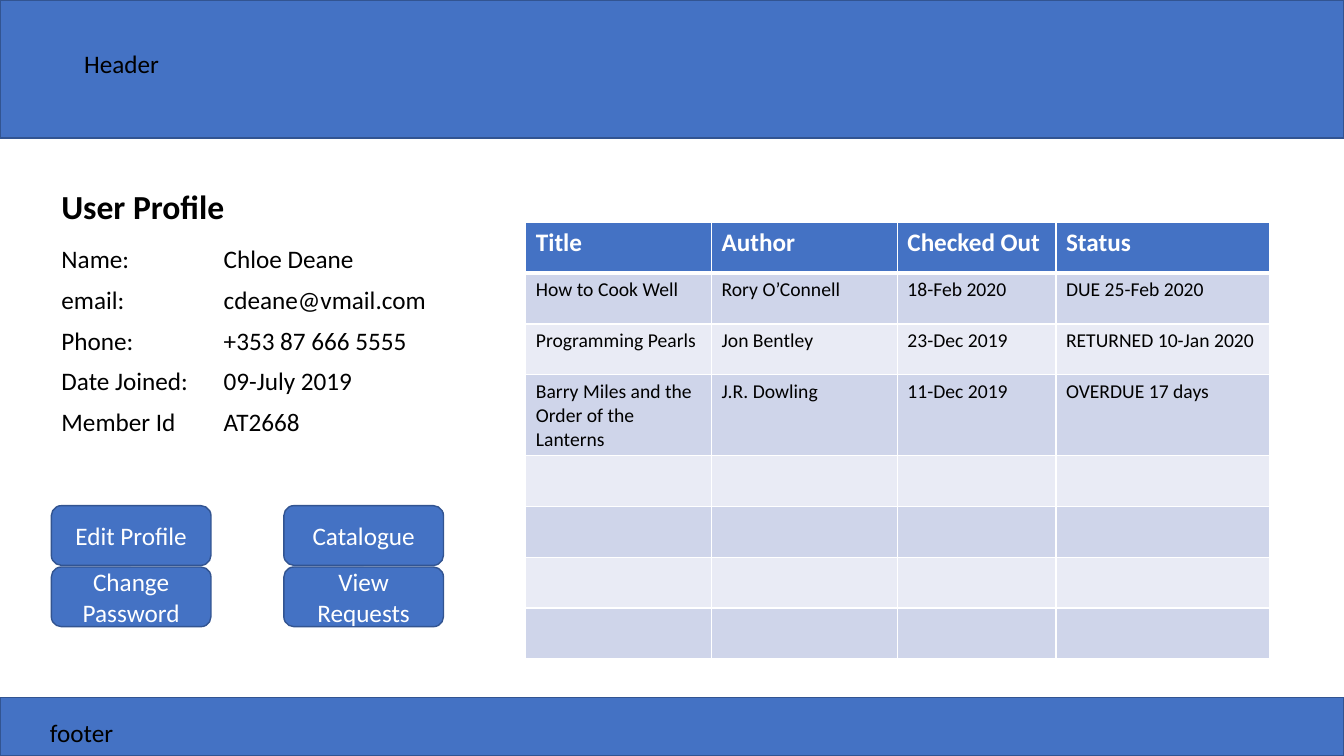
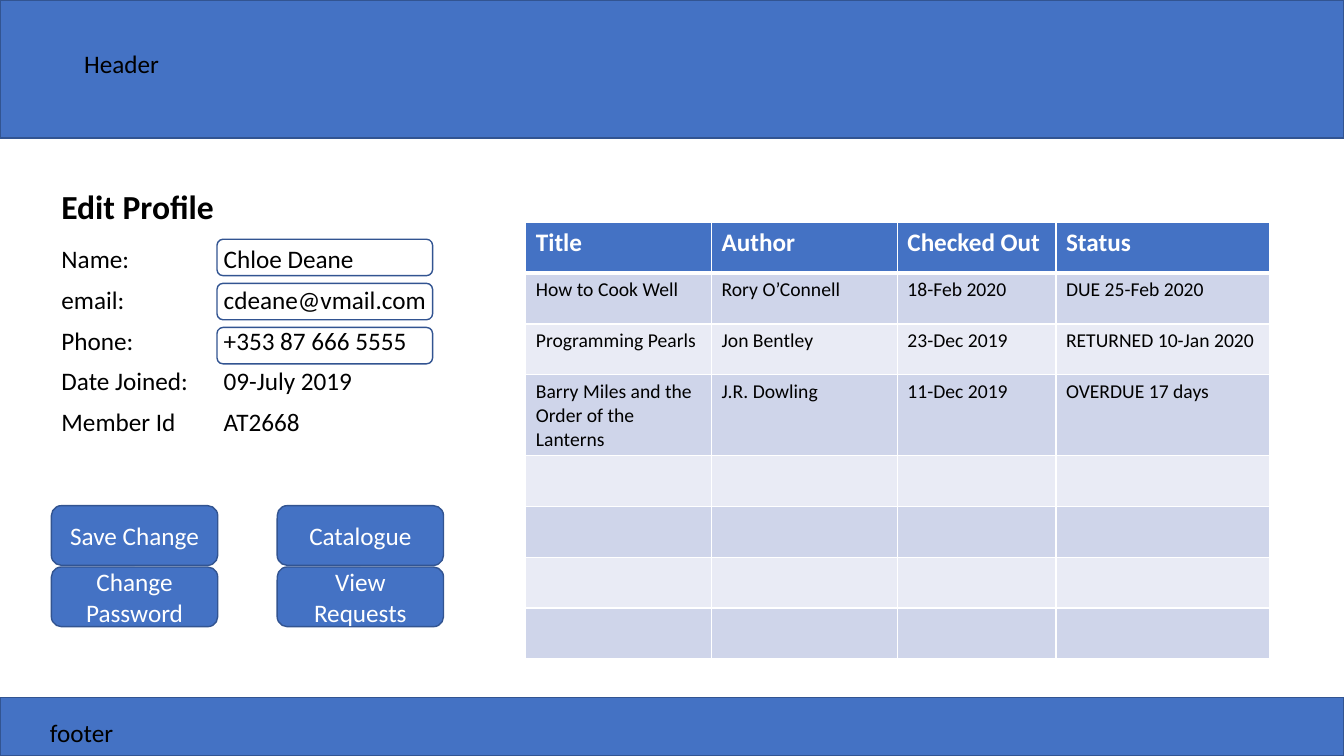
from lxml import etree
from pptx import Presentation
from pptx.dml.color import RGBColor
from pptx.enum.shapes import MSO_SHAPE
from pptx.enum.text import MSO_ANCHOR, PP_ALIGN
from pptx.oxml.ns import qn
from pptx.util import Pt

RECT, ROUND = MSO_SHAPE.RECTANGLE, MSO_SHAPE.ROUNDED_RECTANGLE
MIDDLE, CENTER = MSO_ANCHOR.MIDDLE, PP_ALIGN.CENTER

BLUE = RGBColor(0x44, 0x72, 0xC4)
EDGE = RGBColor(0x32, 0x54, 0x91)
DARK = RGBColor(0xCF, 0xD5, 0xEA)
PALE = RGBColor(0xE9, 0xEB, 0xF5)
WHITE = RGBColor(0xFF, 0xFF, 0xFF)
BLACK = RGBColor(0x00, 0x00, 0x00)

FONT = "Calibri"
WIDE, HIGH = 960, 540
LEFT, RIGHT = 36.7, 316.8
TOP = 170.9

PROFILE = [
    ("Name:", "Chloe Deane"),
    ("email:", "cdeane@vmail.com"),
    ("Phone:", "+353 87 666 5555"),
    ("Date Joined:", "09-July 2019"),
    ("Member Id", "AT2668"),
]
BLANK = ("",) * 4
LOANS = [
    ("Title", "Author", "Checked Out", "Status"),
    ("How to Cook Well", "Rory O’Connell", "18-Feb 2020", "DUE 25-Feb 2020"),
    ("Programming Pearls", "Jon Bentley", "23-Dec 2019", "RETURNED 10-Jan 2020"),
    ("Barry Miles and the Order of the Lanterns", "J.R. Dowling",
     "11-Dec 2019", "OVERDUE 17 days"),
    BLANK, BLANK, BLANK, BLANK,
]


def border(cell, side, width, color=None):
    """Draw one cell edge (L, R, T or B), or hide it when no colour is given."""
    line = etree.SubElement(cell._tc.get_or_add_tcPr(), qn("a:ln" + side),
                            w=str(Pt(width)))
    if color is None:
        etree.SubElement(line, qn("a:noFill"))
    else:
        fill = etree.SubElement(line, qn("a:solidFill"))
        etree.SubElement(fill, qn("a:srgbClr"), val=str(color))


class Deck:
    def __init__(self):
        self.prs = Presentation()
        self.prs.slide_width, self.prs.slide_height = Pt(WIDE), Pt(HIGH)
        self.slide = None

    def page(self):
        self.slide = self.prs.slides.add_slide(self.prs.slide_layouts[6])

    def style(self, frame, size=18, color=BLACK, bold=False):
        for par in frame.paragraphs:
            for run in par.runs:
                font = run.font
                font.name, font.size, font.bold = FONT, Pt(size), bold
                font.color.rgb = color

    def shape(self, kind, x, y, w, h, fill=BLUE):
        box = self.slide.shapes.add_shape(kind, Pt(x), Pt(y), Pt(w), Pt(h))
        box.shadow.inherit = False
        box.fill.solid()
        box.fill.fore_color.rgb = fill
        box.line.color.rgb = EDGE
        box.line.width = Pt(1)
        return box

    def button(self, text, x, y, w):
        frame = self.shape(ROUND, x, y, w, 42.6).text_frame
        frame.text = text
        frame.word_wrap = True
        frame.vertical_anchor = MIDDLE
        frame.paragraphs[0].alignment = CENTER
        self.style(frame, color=WHITE)

    def label(self, text, x, y, w, h=29, **look):
        box = self.slide.shapes.add_textbox(Pt(x), Pt(y), Pt(w), Pt(h))
        frame = box.text_frame
        frame.word_wrap = True
        frame.text = text
        self.style(frame, **look)

    def grid(self, rows, x, y, cols, high):
        """Add an unstyled table and yield (row number, cell, text)."""
        table = self.slide.shapes.add_table(
            len(rows), len(cols), Pt(x), Pt(y),
            Pt(sum(cols)), Pt(high * len(rows))).table
        table.first_row = table.horz_banding = False
        for col, width in zip(table.columns, cols):
            col.width = Pt(width)
        for i, row in enumerate(rows):
            table.rows[i].height = Pt(high)
            for j, text in enumerate(row):
                yield i, table.cell(i, j), text

    def loans(self):
        cols = (132.7, 132.7, 113.3, 152.7)
        for i, cell, text in self.grid(LOANS, 375.6, 158.9, cols, 36.3):
            head = i == 0
            cell.text = text
            self.style(cell.text_frame, 18 if head else 14,
                       WHITE if head else BLACK, head)
            for side in "LRTB":
                thick = (i, side) in ((0, "B"), (1, "T"))
                border(cell, side, 3 if thick else 1, WHITE)
            cell.fill.solid()
            cell.fill.fore_color.rgb = BLUE if head else DARK if i % 2 else PALE

    def profile(self):
        for _, cell, text in self.grid(PROFILE, LEFT, TOP, (115.9, 164.2), 29.2):
            cell.text = text
            self.style(cell.text_frame)
            for side in "LRTB":
                border(cell, side, 1)
            cell.fill.background()

    def fields(self, count):
        """Outline the values that can be edited."""
        for i in range(count):
            self.shape(ROUND, 155, TOP + 31.5 * i, 154, 26, WHITE)

    def member(self, title, first, width, edits=0):
        """Build a member page; its first button and button width vary."""
        self.page()
        self.fields(edits)
        self.shape(RECT, 0, 0, WIDE, 98.6)
        self.shape(RECT, 0, 498.4, WIDE, HIGH - 498.4)
        self.label("Header", 53, 31, 171)
        self.label("footer", 28.6, 509, 210)
        self.label(title, LEFT, 129.6, 202, 36, size=24, bold=True)
        self.loans()
        self.profile()
        names = (first, "Catalogue", "Change Password", "View Requests")
        for i, name in enumerate(names):
            row, col = divmod(i, 2)
            self.button(name, RIGHT - width if col else LEFT,
                        361.2 + 43.8 * row, width)


def main():
    deck = Deck()
    deck.member("User Profile", "Edit Profile", 114)
    deck.member("Edit Profile", "Save Change", 118.8, edits=3)
    deck.prs.save("out.pptx")


if __name__ == "__main__":
    main()
